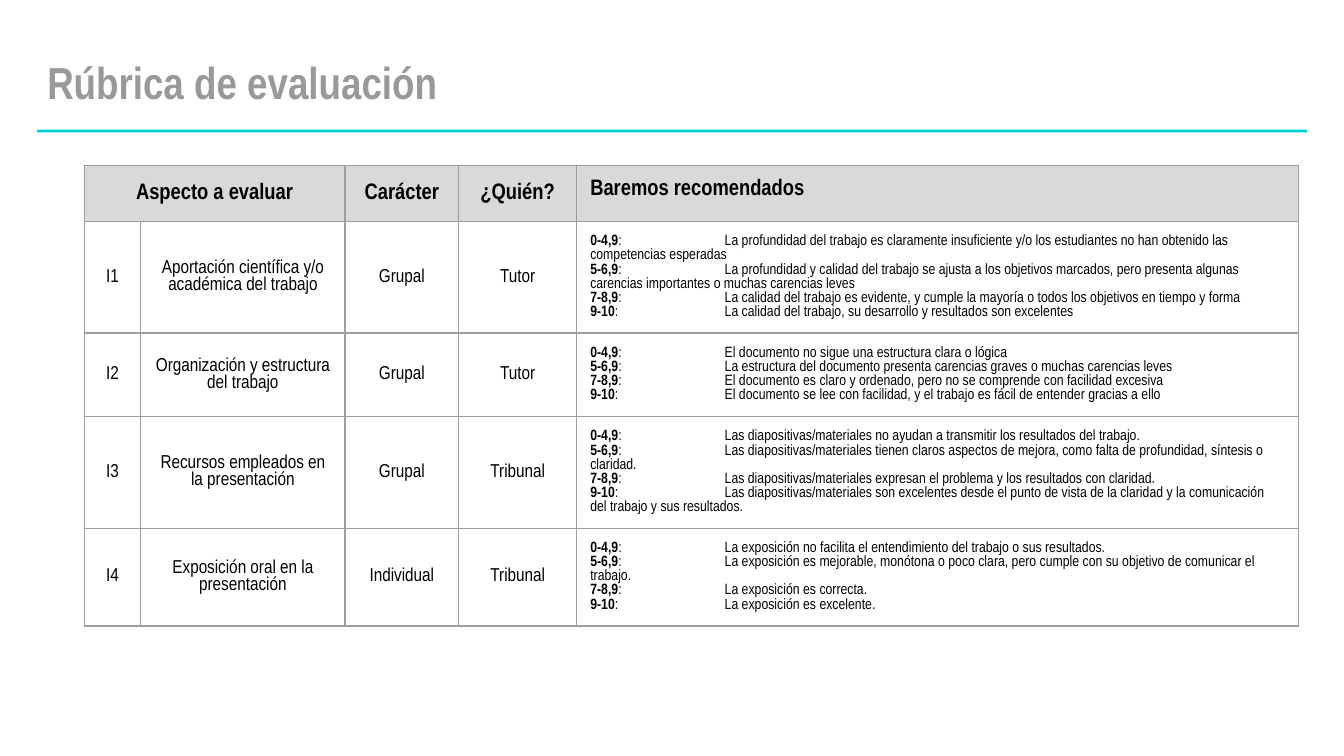
from lxml.etree import SubElement
from pptx import Presentation
from pptx.dml.color import RGBColor
from pptx.enum.shapes import MSO_SHAPE
from pptx.enum.text import MSO_ANCHOR as Anchor, MSO_AUTO_SIZE as AutoSize, PP_ALIGN as Align
from pptx.oxml.ns import qn
from pptx.util import Pt

FONT = "Arial Narrow"
TITLE_GRAY, TURQUOISE, HEADER_GRAY, BORDER_GRAY = "999999", "00CFCF", "D9D9D9", "9E9E9E"
TITLE_ONLY = 5

COLUMN_WIDTHS = [30.2, 109.6, 60.8, 63.4, 386.6]
ROW_HEIGHTS = [30, 59.8, 44.6, 59.7, 52.4]
GRADES = ["0-4,9", "5-6,9", "7-8,9", "9-10"]
HEADERS = ["Aspecto a evaluar", None, "Carácter", "¿Quién?", "Baremos recomendados"]
CRITERIA = [
    ("I1", "Aportación científica y/o académica del trabajo", "Grupal", "Tutor", [
        "La profundidad del trabajo es claramente insuficiente y/o los estudiantes "
        "no han obtenido las competencias esperadas",
        "La profundidad y calidad del trabajo se ajusta a los objetivos marcados, "
        "pero presenta algunas carencias importantes o muchas carencias leves",
        "La calidad del trabajo es evidente, y cumple la mayoría o todos los "
        "objetivos en tiempo y forma",
        "La calidad del trabajo, su desarrollo y resultados son excelentes"]),
    ("I2", "Organización y estructura del trabajo", "Grupal", "Tutor", [
        "El documento no sigue una estructura clara o lógica",
        "La estructura del documento presenta carencias graves o muchas carencias leves",
        "El documento es claro y ordenado, pero no se comprende con facilidad excesiva",
        "El documento se lee con facilidad, y el trabajo es fácil de entender gracias a ello"]),
    ("I3", "Recursos empleados en la presentación", "Grupal", "Tribunal", [
        "Las diapositivas/materiales no ayudan a transmitir los resultados del trabajo.",
        "Las diapositivas/materiales tienen claros aspectos de mejora, como falta de "
        "profundidad, síntesis o claridad.",
        "Las diapositivas/materiales expresan el problema y los resultados con claridad.",
        "Las diapositivas/materiales son excelentes desde el punto de vista de la "
        "claridad y la comunicación del trabajo y sus resultados."]),
    ("I4", "Exposición oral en la presentación", "Individual", "Tribunal", [
        "La exposición no facilita el entendimiento del trabajo o sus resultados.",
        "La exposición es mejorable, monótona o poco clara, pero cumple con su "
        "objetivo de comunicar el trabajo.",
        "La exposición es correcta.",
        "La exposición es excelente."]),
]


def set_color(color_format, color):
    color_format.rgb = RGBColor.from_string(color)


def set_fill(fill, color):
    fill.solid()
    set_color(fill.fore_color, color)


def add_text(paragraph, text, size=10, bold=False, color="000000", align=Align.LEFT):
    paragraph.alignment = align
    run = paragraph.add_run()
    run.text = text
    run.font.name, run.font.size, run.font.bold = FONT, Pt(size), bold
    set_color(run.font.color, color)


def add_tab_stop(paragraph, position):
    tabs = SubElement(paragraph._p.get_or_add_pPr(), qn("a:tabLst"))
    SubElement(tabs, qn("a:tab"), pos=str(Pt(position)), algn="l")


def set_borders(cell, color, width):
    properties = cell._tc.get_or_add_tcPr()
    for index, side in enumerate(("lnL", "lnR", "lnT", "lnB")):
        line = SubElement(properties, qn(f"a:{side}"), w=str(Pt(width)))
        fill = SubElement(line, qn("a:solidFill"))
        SubElement(fill, qn("a:srgbClr"), val=color)
        properties.insert(index, line)  # borders come before the cell's fill


def format_cell(cell, fill=None, anchor=Anchor.MIDDLE):
    if fill:
        set_fill(cell.fill, fill)
    else:
        cell.fill.background()
    cell.vertical_anchor = anchor
    cell.margin_left = cell.margin_right = cell.margin_top = cell.margin_bottom = Pt(7.2)
    set_borders(cell, BORDER_GRAY, 0.75)


def add_heading(slide, left, top, width, height):
    """Place the title, with the turquoise rule along the bottom of the box."""
    title = slide.shapes.title
    title.left, title.top, title.width, title.height = (
        Pt(left), Pt(top), Pt(width - 16.5), Pt(height - 1.4))
    frame = title.text_frame
    frame.auto_size, frame.word_wrap = AutoSize.NONE, True
    frame.vertical_anchor = Anchor.MIDDLE
    frame.margin_left = frame.margin_right = Pt(5.4)
    frame.margin_top = frame.margin_bottom = Pt(2.7)
    paragraph = frame.paragraphs[0]
    paragraph.line_spacing = 0.9
    add_text(paragraph, "Rúbrica de evaluación", size=24, bold=True, color=TITLE_GRAY)

    rule = slide.shapes.add_shape(
        MSO_SHAPE.RECTANGLE, Pt(left), Pt(top + height - 1.4), Pt(width), Pt(1.4))
    rule.shadow.inherit = False
    set_fill(rule.fill, TURQUOISE)
    rule.line.fill.background()


def fill_scale(cell, descriptions):
    """Write one paragraph for each grade band."""
    frame = cell.text_frame
    for index, (grade, description) in enumerate(zip(GRADES, descriptions)):
        paragraph = frame.add_paragraph() if index else frame.paragraphs[0]
        add_tab_stop(paragraph, 72)
        add_text(paragraph, grade, size=8, bold=True)
        add_text(paragraph, f": \t{description}", size=8)


def add_rubric(slide, left, top):
    table = slide.shapes.add_table(
        len(ROW_HEIGHTS), len(COLUMN_WIDTHS), Pt(left), Pt(top),
        Pt(sum(COLUMN_WIDTHS)), Pt(sum(ROW_HEIGHTS))).table
    table.first_row = table.horz_banding = False
    for column, width in zip(table.columns, COLUMN_WIDTHS):
        column.width = Pt(width)
    for row, height in zip(table.rows, ROW_HEIGHTS):
        row.height = Pt(height)
    table.cell(0, 0).merge(table.cell(0, 1))

    scale_column = len(COLUMN_WIDTHS) - 1
    for row, values in enumerate([HEADERS, *CRITERIA]):
        is_header = row == 0
        for column, value in enumerate(values):
            cell = table.cell(row, column)
            is_scale = column == scale_column
            format_cell(cell, fill=HEADER_GRAY if is_header else None,
                        anchor=Anchor.TOP if is_scale else Anchor.MIDDLE)
            if is_scale and not is_header:
                fill_scale(cell, value)
            elif value:
                add_text(cell.text_frame.paragraphs[0], value,
                         size=12 if is_header else 10, bold=is_header,
                         align=Align.LEFT if is_scale else Align.CENTER)


def main():
    presentation = Presentation()
    presentation.slide_width, presentation.slide_height = Pt(720), Pt(405)
    slide = presentation.slides.add_slide(presentation.slide_layouts[TITLE_ONLY])
    add_heading(slide, left=19.9, top=21.5, width=680.4, height=49.4)
    add_rubric(slide, left=45.1, top=88.6)
    presentation.save("out.pptx")


if __name__ == "__main__":
    main()
